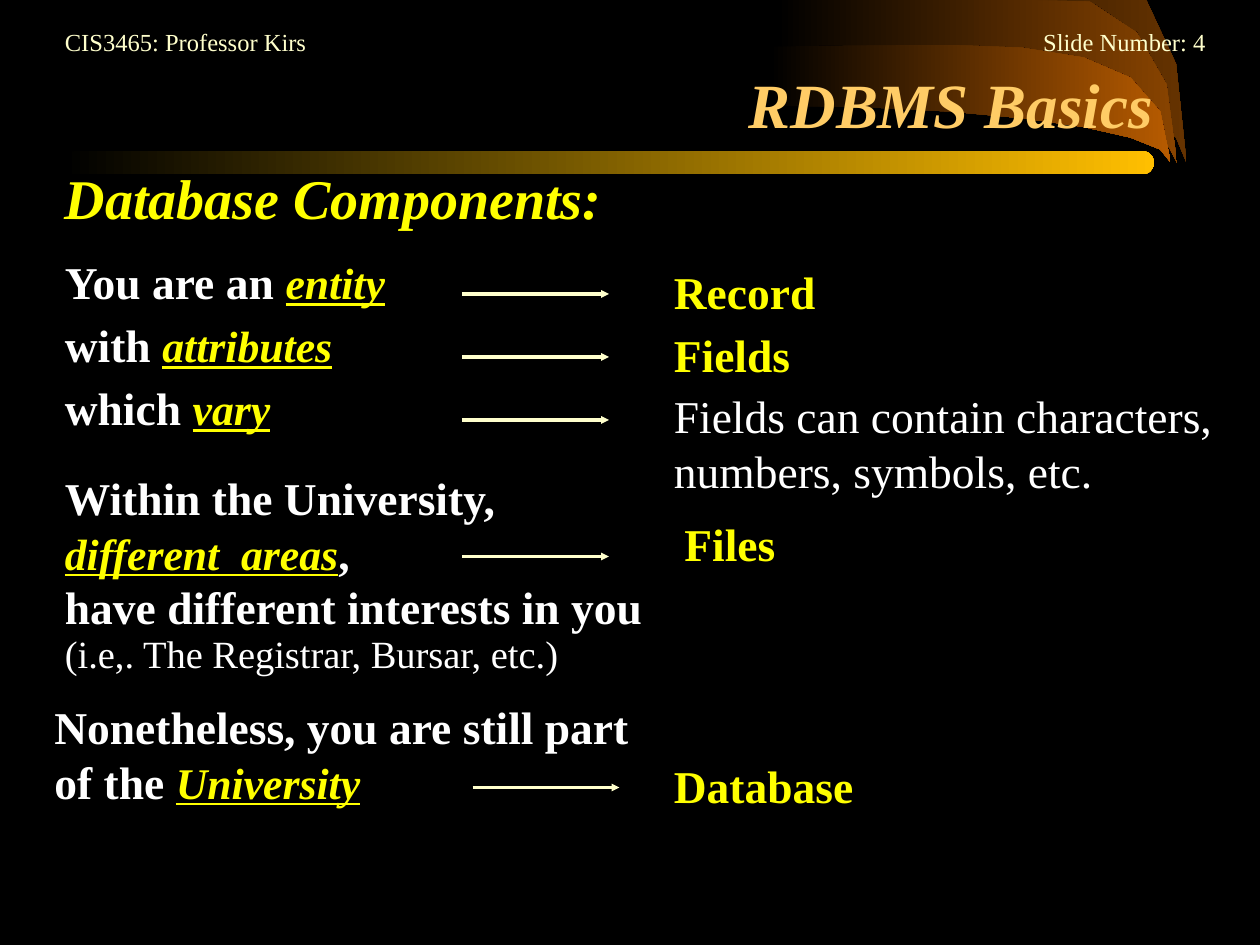
from lxml.etree import SubElement
from pptx import Presentation
from pptx.dml.color import RGBColor
from pptx.enum.shapes import MSO_CONNECTOR as Connector, MSO_SHAPE as Shape
from pptx.enum.text import MSO_ANCHOR as Anchor, MSO_AUTO_SIZE as AutoSize, PP_ALIGN as Align
from pptx.oxml.ns import qn
from pptx.util import Inches, Pt

COLORS = {
    "black": "000000", "white": "FFFFFF", "yellow": "FFFF00", "cream": "FFFFCC",
    "title": "FFCC66", "bar": "FFBF00",
    "outer": "663300", "middle": "894400", "inner": "B75B00",
}
STYLES = {
    "header": (14, "cream", False, False, False),
    "title": (36, "title", True, True, False),
    "heading": (32, "yellow", True, True, False),
    "strong": (26, "white", True, False, False),
    "term": (25, "yellow", True, True, True),
    "result": (26, "yellow", True, False, False),
    "plain": (26, "white", False, False, False),
    "note": (22, "white", False, False, False),
}

presentation = Presentation()
presentation.slide_width = Inches(10)
presentation.slide_height = Inches(7.5)
column = presentation.slide_width / 120
row = presentation.slide_height / 90
slide = presentation.slides.add_slide(presentation.slide_layouts[5])
slide.background.fill.solid()
slide.background.fill.fore_color.rgb = RGBColor.from_string(COLORS["black"])


def format_run(run, style):
    size, color, bold, italic, underline = STYLES[style]
    font = run.font
    font.name = "Times New Roman"
    font.size = Pt(size)
    font.bold, font.italic, font.underline = bold, italic, underline
    font.color.rgb = RGBColor.from_string(COLORS[color])


def paint_gradient(shape, color):
    shape.shadow.inherit = False
    shape.line.fill.background()
    shape.fill.gradient()
    shape.fill.gradient_angle = 0
    for stop, position, name in zip(shape.fill.gradient_stops, (0, 1), ("black", color)):
        stop.position = position
        stop.color.rgb = RGBColor.from_string(COLORS[name])


tip = 15.48
steps = 7
for left, lower, upper, color in [
    (75.4, 5.04, -5.88, "outer"),
    (74.5, 7.2, -1.44, "middle"),
    (73.9, 10.08, 4.44, "inner"),
]:
    right = left + 37.6
    shoulder = left + 20.8
    bend = 0.45 * (tip - lower)
    curves = [
        [(left, lower), (shoulder, lower), (right, lower + bend), (right, tip)],
        [(right, tip), (right, upper - bend), (shoulder, upper), (left - 0.6, upper)],
    ]
    points = [(round(left * column), round(lower * row))]
    for curve in curves:
        for step in range(1, steps + 1):
            t = step / steps
            weights = ((1 - t) ** 3, 3 * t * (1 - t) ** 2, 3 * t * t * (1 - t), t ** 3)
            x = sum(weight * point[0] for weight, point in zip(weights, curve))
            y = sum(weight * point[1] for weight, point in zip(weights, curve))
            points.append((round(x * column), round(max(y, 0) * row)))
    builder = slide.shapes.build_freeform(*points[0])
    builder.add_line_segments(points[1:], close=True)
    paint_gradient(builder.convert_to_shape(), color)

bar = slide.shapes.add_shape(
    Shape.ROUNDED_RECTANGLE, round(6 * column), round(14.4 * row),
    round(103.9 * column), round(2.2 * row))
bar.adjustments[0] = 0.5
paint_gradient(bar, "bar")

for left, top, width, height, align, lines in [
    (5, 2, 32, 4.1, Align.LEFT, [[("CIS3465: Professor Kirs", "header")]]),
    (84, 2, 32, 4.1, Align.RIGHT, [[("Slide Number: 4", "header")]]),
    (5, 15, 63, 7.7, Align.LEFT, [[("Database Components:", "heading")]]),
    (5, 23.6, 35, 6.5, Align.LEFT, [[("You are an ", "strong"), ("entity", "term")]]),
    (5, 29.6, 35, 6.5, Align.LEFT, [[("with ", "strong"), ("attributes", "term")]]),
    (5, 35.6, 35, 6.5, Align.LEFT, [[("which ", "strong"), ("vary", "term")]]),
    (5, 44.2, 58, 16.8, Align.LEFT, [
        [("Within the University, ", "strong"), ("different  areas", "term"), (",", "strong")],
        [("have different interests in you", "strong")]]),
    (5, 59.4, 62, 5.6, Align.LEFT, [[("(i.e,. The Registrar, Bursar, etc.)", "note")]]),
    (4, 66, 59, 11.6, Align.LEFT, [
        [("Nonetheless, you are still part of the ", "strong"), ("University", "term")]]),
    (63, 24.6, 45, 6.5, Align.LEFT, [[("Record", "result")]]),
    (63, 30.6, 45, 6.5, Align.LEFT, [[("Fields", "result")]]),
    (63, 36.4, 57, 11.6, Align.LEFT, [
        [("Fields can contain characters, numbers, symbols, etc.", "plain")]]),
    (64, 48.6, 45, 6.5, Align.LEFT, [[("Files", "result")]]),
    (63, 71.6, 45, 6.5, Align.LEFT, [[("Database", "result")]]),
]:
    box = slide.shapes.add_textbox(
        round(left * column), round(top * row), round(width * column), round(height * row))
    box.text_frame.word_wrap = True
    box.text_frame.auto_size = AutoSize.SHAPE_TO_FIT_TEXT
    paragraph = box.text_frame.paragraphs[0]
    paragraph.alignment = align
    for index, line in enumerate(lines):
        if index:
            paragraph.add_line_break()
        for text, style in line:
            run = paragraph.add_run()
            run.text = text
            format_run(run, style)

for left, level in [(44, 28), (44, 34), (44, 40), (44, 53), (45, 75)]:
    arrow = slide.shapes.add_connector(
        Connector.STRAIGHT, round(left * column), round(level * row),
        round((left + 14) * column), round(level * row))
    arrow.line.width = Pt(2.25)
    arrow.line.color.rgb = RGBColor.from_string(COLORS["cream"])
    outline = arrow.element.spPr.find(qn("a:ln"))
    SubElement(outline, qn("a:tailEnd"), type="triangle", w="sm", len="sm")
    SubElement(arrow.element.spPr, qn("a:effectLst"))

title = slide.shapes.title
title.left, title.top = round(9 * column), round(5 * row)
title.width, title.height = round(102 * column), round(9 * row)
title.text_frame.text = "RDBMS Basics"
title.text_frame.word_wrap = True
title.text_frame.auto_size = AutoSize.NONE
title.text_frame.vertical_anchor = Anchor.BOTTOM
title.text_frame.paragraphs[0].alignment = Align.RIGHT
format_run(title.text_frame.paragraphs[0].runs[0], "title")
title.element.getparent().append(title.element)

presentation.save("out.pptx")
